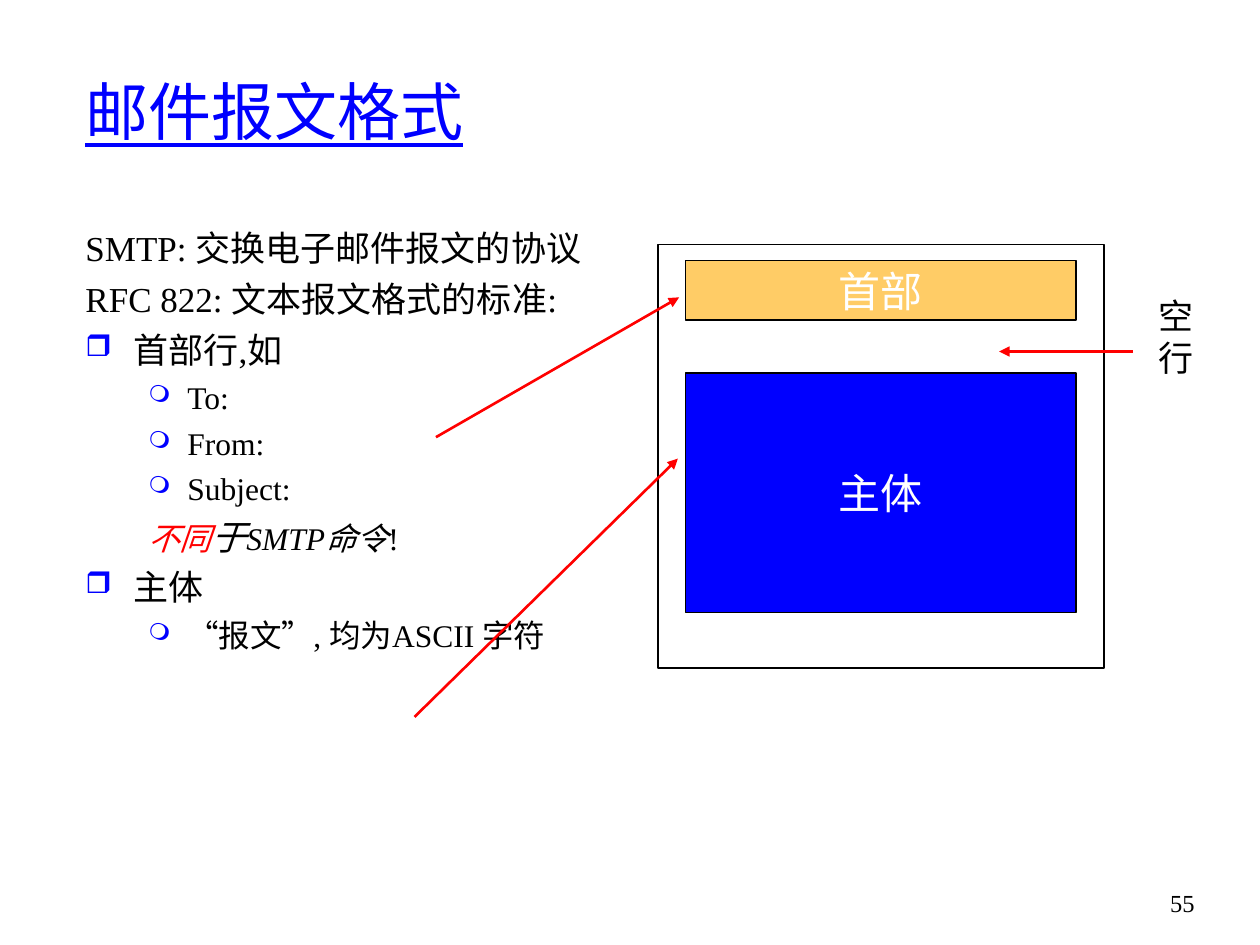
from lxml import etree
from pptx import Presentation
from pptx import util as u
from pptx.dml.color import RGBColor
from pptx.enum import shapes, text
from pptx.oxml.ns import qn

BLUE = RGBColor(0x00, 0x00, 0xFF)
RED = RGBColor(0xFF, 0x00, 0x00)
GOLD = RGBColor(0xFF, 0xCC, 0x66)
BLACK = RGBColor(0x00, 0x00, 0x00)
WHITE = RGBColor(0xFF, 0xFF, 0xFF)
SERIF, COMIC = "Times New Roman", "Comic Neue"
MID, TOP = text.MSO_ANCHOR.MIDDLE, text.MSO_ANCHOR.TOP
LEFT, CENTER, RIGHT = text.PP_ALIGN.LEFT, text.PP_ALIGN.CENTER, text.PP_ALIGN.RIGHT

# Outline levels: left margin, hanging indent, space before, bullet, bullet size, text size
LEVELS = [(0.38, 0.38, 5, "❒", 85, 20), (0.81, 0.31, 4.5, "❍", 75, 18)]


class Deck:
    def __init__(self, slide, font=SERIF, color=BLACK):
        self.slide = slide
        self.base = {"name": font, "color": color}

    def run(self, para, words, **style):
        run = para.add_run()
        run.text = words
        for key, val in {**self.base, **style}.items():
            if key == "color":
                run.font.color.rgb = val
            else:
                setattr(run.font, key, val)

    def label(self, box, words, align=LEFT, **style):
        frame = box.text_frame
        para = frame.paragraphs[0]
        para.alignment = align
        self.run(para, words, **style)

    def box(self, x, y, w, h, wrap=True, anchor=TOP):
        box = self.slide.shapes.add_textbox(*map(u.Inches, (x, y, w, h)))
        box.text_frame.word_wrap = wrap
        box.text_frame.vertical_anchor = anchor
        return box

    def rect(self, x, y, w, h, fill=None, width=0.75):
        rect = self.slide.shapes.add_shape(
            shapes.MSO_SHAPE.RECTANGLE, *map(u.Inches, (x, y, w, h)))
        rect.shadow.inherit = False
        if fill is None:
            rect.fill.background()
        else:
            rect.fill.solid()
            rect.fill.fore_color.rgb = fill
        rect.line.color.rgb = BLACK
        rect.line.width = u.Pt(width)
        rect.text_frame.word_wrap = False
        rect.text_frame.vertical_anchor = MID
        return rect

    def arrow(self, *ends):
        line = self.slide.shapes.add_connector(
            shapes.MSO_CONNECTOR.STRAIGHT, *map(u.Inches, ends))
        line.line.color.rgb = RED
        line.line.width = u.Pt(1.5)
        etree.SubElement(line.line._get_or_add_ln(), qn("a:tailEnd"), type="triangle")
        etree.SubElement(line._element.spPr, qn("a:effectLst"))

    def item(self, para, level, mark, runs, first):
        left, hang, gap, char, scale, size = LEVELS[level]
        props = para._p.get_or_add_pPr()
        props.set("marL", str(u.Inches(left)))
        props.set("indent", str(-u.Inches(hang)))
        if mark:
            tint = etree.SubElement(props, qn("a:buClr"))
            etree.SubElement(tint, qn("a:srgbClr"), val=str(BLUE))
            etree.SubElement(props, qn("a:buSzPct"), val=str(scale * 1000))
            etree.SubElement(props, qn("a:buChar"), char=char)
        else:
            etree.SubElement(props, qn("a:buNone"))
        para.level = level
        para.space_before = u.Pt(0 if first else gap)
        for words, style in runs:
            self.run(para, words, **{"size": u.Pt(size), **style})

    def outline(self, box, items):
        frame = box.text_frame
        for n, (level, mark, runs) in enumerate(items):
            para = frame.add_paragraph() if n else frame.paragraphs[0]
            self.item(para, level, mark, runs, n == 0)


def main():
    prs = Presentation()
    prs.slide_width, prs.slide_height = u.Inches(10), u.Inches(7.5)
    deck = Deck(prs.slides.add_slide(prs.slide_layouts[6]))

    # Title
    deck.label(deck.box(0.58, 0.25, 8.5, 1.25, anchor=MID), "邮件报文格式",
               size=u.Pt(36), color=BLUE, underline=True)

    # Outline
    plain = lambda words: [(words, {})]
    note = [("不同", {"color": RED, "italic": True}),
            ("于", {"size": u.Pt(20), "italic": True}),
            ("SMTP命令", {"italic": True}), ("!", {})]
    deck.outline(deck.box(0.58, 1.75, 4.17, 5.08), [
        (0, False, plain("SMTP: 交换电子邮件报文的协议")),
        (0, False, plain("RFC 822: 文本报文格式的标准:")),
        (0, True, plain("首部行,如")),
        *[(1, True, plain(name)) for name in ("To:", "From:", "Subject:")],
        (1, False, note),
        (0, True, plain("主体")),
        (1, True, plain("“报文”, 均为ASCII 字符")),
    ])

    # Message diagram
    for words, y, h, fill in (("首部", 2.07, 0.47, GOLD), ("主体", 2.96, 1.9, BLUE)):
        deck.label(deck.rect(5.44, y, 3.1, h, fill), words, CENTER,
                   size=u.Pt(24), name=COMIC, color=WHITE)
    deck.rect(5.22, 1.94, 3.54, 3.36, width=1)

    # Arrows and blank line label
    for ends in ((3.46, 3.47, 5.39, 2.36), (3.29, 5.69, 5.38, 3.64),
                 (8.99, 2.79, 7.93, 2.79)):
        deck.arrow(*ends)
    deck.label(deck.box(8.96, 2.29, 0.75, 0.44, wrap=False), "空行", CENTER,
               size=u.Pt(20), name=COMIC)

    # Page number
    deck.label(deck.box(9.08, 7, 0.5, 0.5), "55", RIGHT, size=u.Pt(14))
    prs.save("out.pptx")


if __name__ == "__main__":
    main()
